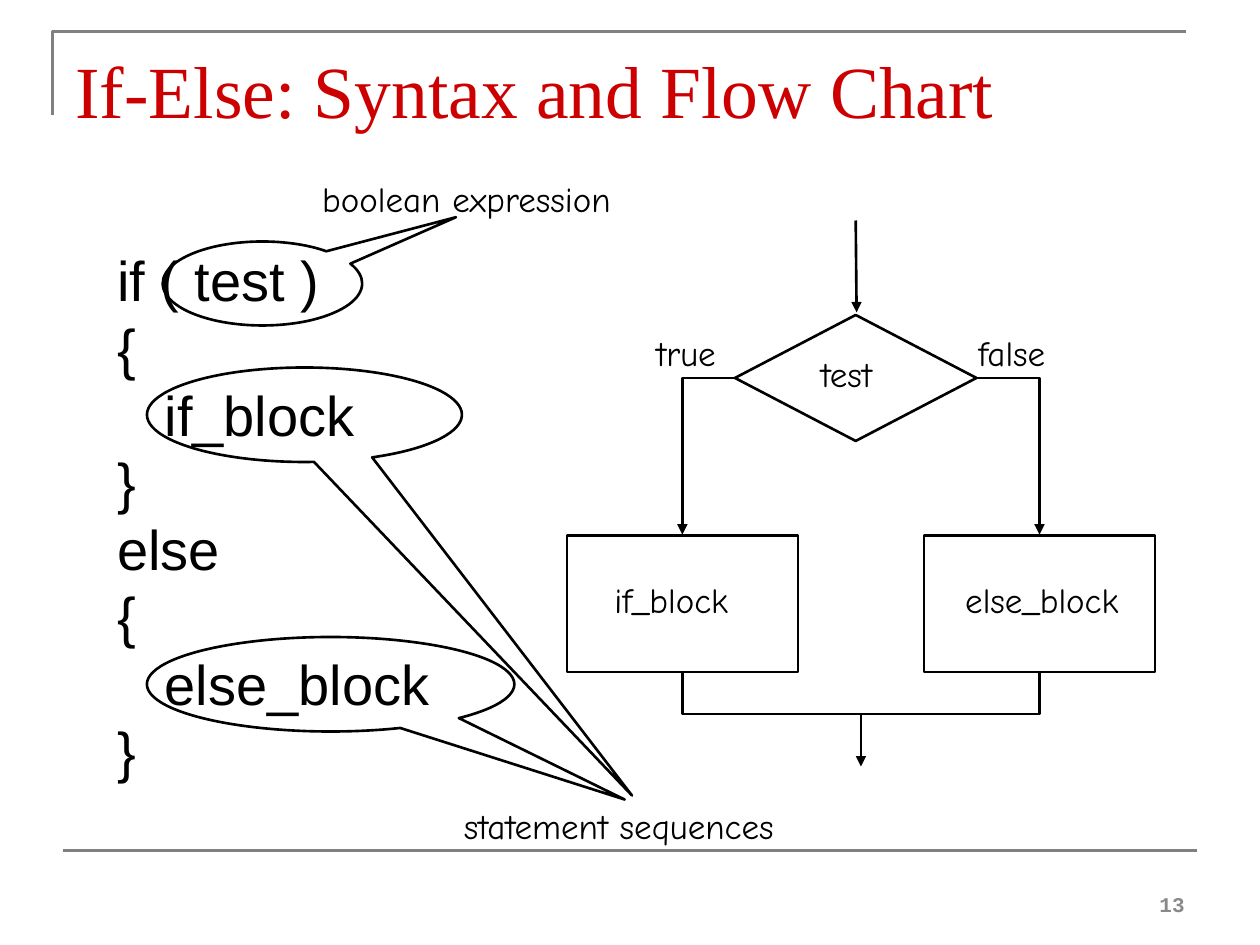
"""Build the If-Else syntax and flow chart slide."""
from pptx import Presentation
from pptx.dml.color import RGBColor
from pptx.enum.shapes import MSO_CONNECTOR, MSO_SHAPE
from pptx.enum.text import MSO_ANCHOR, PP_ALIGN
from pptx.oxml.ns import qn
from pptx.util import Pt
from lxml.etree import SubElement

HUES = {"title": "CC0000", "ink": "000000", "rule": "808080", "page": "898989"}
LEFT, RIGHT, MID = 390, 594, 492

deck = Presentation()
deck.slide_width, deck.slide_height = Pt(720), Pt(540)
slide = deck.slides.add_slide(deck.slide_layouts[6])
shapes = slide.shapes


def write(text, box, size=20, font="Comic Neue", hue="ink", bold=False,
          align=PP_ALIGN.LEFT, anchor=MSO_ANCHOR.TOP, wrap=False, hang=0):
    frame = shapes.add_textbox(*map(Pt, box)).text_frame
    frame.word_wrap = wrap
    frame.vertical_anchor = anchor
    for i, line in enumerate(text.split("\n")):
        para = frame.paragraphs[0] if i == 0 else frame.add_paragraph()
        para.alignment = align
        if hang:
            props = para._p.get_or_add_pPr()
            props.set("marL", str(Pt(hang)))
            props.set("indent", str(-Pt(hang)))
        run = para.add_run()
        run.text = line
        run.font.size, run.font.name, run.font.bold = Pt(size), font, bold
        run.font.color.rgb = RGBColor.from_string(HUES[hue])


def join(start, end, hue="ink", bent=False, arrow=False):
    kind = MSO_CONNECTOR.ELBOW if bent else MSO_CONNECTOR.STRAIGHT
    link = shapes.add_connector(kind, *map(Pt, start + end))
    link.line.width = Pt(1.5)
    link.line.color.rgb = RGBColor.from_string(HUES[hue])
    props = link._element.spPr
    if bent:
        props.find(qn("a:prstGeom")).set("prst", "bentConnector2")
    if arrow:
        SubElement(props.find(qn("a:ln")), qn("a:tailEnd")).set("type", "triangle")
    SubElement(props, qn("a:effectLst"))


path = shapes.build_freeform(Pt(30), Pt(66), scale=1.0)
path.add_line_segments([(Pt(30), Pt(18)), (Pt(678), Pt(18))], close=False)
frame = path.convert_to_shape()
frame.shadow.inherit = False
frame.fill.background()
frame.line.width = Pt(1.5)
frame.line.color.rgb = RGBColor.from_string(HUES["rule"])
join((36, 486), (684, 486), hue="rule")

write("If-Else: Syntax and Flow Chart", (36, 22, 648, 90), size=42,
      font="Times New Roman", hue="title", wrap=True)
write("13", (516, 491.5, 168, 36), size=12, font="Courier New", hue="page",
      bold=True, align=PP_ALIGN.RIGHT, anchor=MSO_ANCHOR.BOTTOM, wrap=True)
write("if ( test )\n{\n\tif_block\n}\nelse\n{\n\telse_block\n}",
      (60, 137, 246, 318), size=32, font="Arial", wrap=True, hang=27)

call = MSO_SHAPE.OVAL_CALLOUT
block = MSO_SHAPE.FLOWCHART_PROCESS
outlines = [
    (MSO_SHAPE.FLOWCHART_DECISION, (420, 180, 138, 72), ()),
    (block, (LEFT - 66, 306, 132, 78), ()),
    (block, (RIGHT - 66, 306, 132, 78), ()),
    (call, (93, 138, 114, 48), (0.97, -0.79)),
    (call, (84, 210, 180, 54), (1.04, 4.03)),
    (call, (84, 364, 210, 54), (0.8, 1.22)),
]
for kind, box, tip in outlines:
    form = shapes.add_shape(kind, *map(Pt, box))
    form.shadow.inherit = False
    form.fill.background()
    form.line.width = Pt(1.5)
    form.line.color.rgb = RGBColor.from_string(HUES["ink"])
    for i, value in enumerate(tip):
        form.adjustments[i] = value

join((489, 126), (489.5, 178.5), arrow=True)
join((MID, 408), (MID, 438), arrow=True)
for side, edge in ((LEFT, 420), (RIGHT, 558)):
    join((edge, 216), (side, 305.5), bent=True, arrow=True)
    join((MID, 408), (side, 384), bent=True)

labels = [
    ("test", 462, 198, 54),
    ("false", 552, 186, 61),
    ("true", 368, 186, 55),
    ("if_block", 344, 327, 91),
    ("else_block", 544.5, 327, 103),
    ("boolean expression", 177, 98, 191),
    ("statement sequences", 258, 456, 211),
]
for text, x, y, width in labels:
    write(text, (x, y, width, 31))

deck.save("out.pptx")
